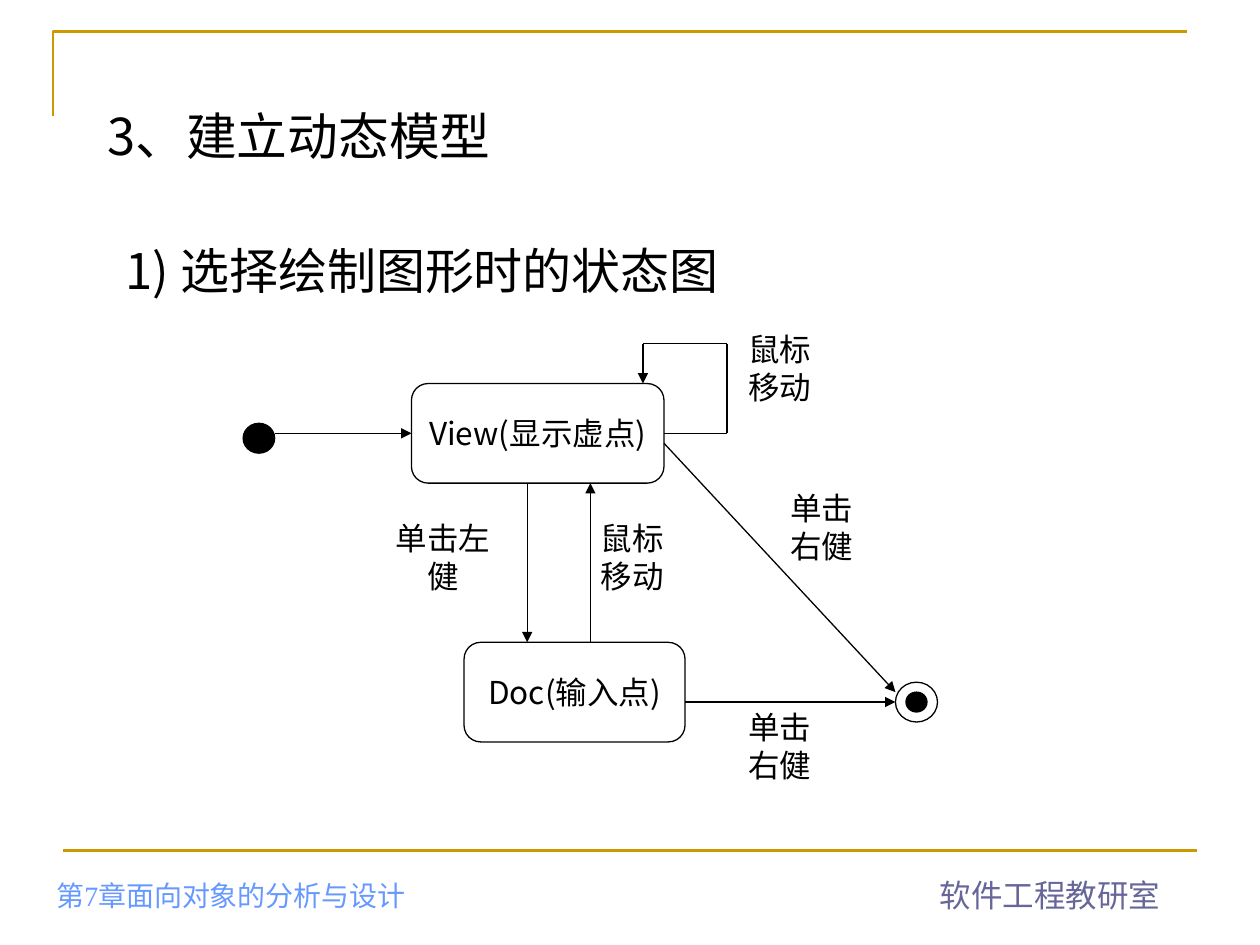
from dataclasses import dataclass

from pptx import Presentation
from pptx.dml.color import RGBColor as Rgb
from pptx.enum.shapes import MSO_CONNECTOR as Link, MSO_SHAPE as Preset
from pptx.enum.text import MSO_ANCHOR as Anchor, MSO_AUTO_SIZE as AutoSize, PP_ALIGN as Align
from pptx.oxml.ns import qn
from pptx.util import Inches, Pt
from lxml.etree import SubElement


@dataclass(frozen=True)
class Theme:
    ink: str = "000000"
    rule: str = "CC9900"
    department: str = "666699"
    chapter: str = "6699FF"
    sans: str = "Noto Sans CJK SC"
    title: float = 29
    subtitle: float = 28
    label: float = 18
    chapter_size: float = 16
    thin: float = 0.75
    thick: float = 1.5
    leading: float = 1.2


THEME = Theme()
GRID_LEFT, GRID_TOP = 1.93, 2.57
COLUMN, ROW = 0.0835, 0.079


def grid_point(column, row):
    return Inches(GRID_LEFT + column * COLUMN), Inches(GRID_TOP + row * ROW)


def grid_box(column, row, columns, rows):
    return *grid_point(column, row), Inches(columns * COLUMN), Inches(rows * ROW)


def inches(*lengths):
    return [Inches(length) for length in lengths]


def set_values(target, values):
    for key, value in values.items():
        setattr(target, key, value)


def write(frame, lines, size, color=THEME.ink, font=THEME.sans, align=Align.LEFT, **frame_format):
    set_values(frame, {"word_wrap": True, "auto_size": AutoSize.NONE} | frame_format)
    frame.text = "\n".join(lines)
    for paragraph in frame.paragraphs:
        set_values(paragraph, {"alignment": align, "line_spacing": Pt(size * THEME.leading)})
        for run in paragraph.runs:
            set_values(run.font, {"size": Pt(size), "name": font, "bold": False})
            run.font.color.rgb = Rgb.from_string(color)
            SubElement(run.font._element, qn("a:ea")).set("typeface", THEME.sans)


def add_text(slide, box, lines, size, **text_format):
    write(slide.shapes.add_textbox(*box).text_frame, lines, size, **text_format)


def set_line(outline, color, width):
    outline.color.rgb = Rgb.from_string(color)
    outline.width = Pt(width)


def add_outline(slide, preset, box, filled=False):
    outline = slide.shapes.add_shape(preset, *box)
    outline.shadow.inherit = False
    if filled:
        outline.fill.solid()
        outline.fill.fore_color.rgb = Rgb.from_string(THEME.ink)
    else:
        outline.fill.background()
    set_line(outline.line, THEME.ink, THEME.thin)
    return outline


def add_state(slide, box, caption):
    state = add_outline(slide, Preset.ROUNDED_RECTANGLE, box)
    write(state.text_frame, [caption], THEME.label, align=Align.CENTER,
          word_wrap=False, vertical_anchor=Anchor.MIDDLE)


def add_line(slide, start, end, color=THEME.ink, width=THEME.thin, arrow=False):
    line = slide.shapes.add_connector(Link.STRAIGHT, *start, *end)
    set_line(line.line, color, width)
    if arrow:
        SubElement(line.line._get_or_add_ln(), qn("a:tailEnd")).set("type", "triangle")
    SubElement(line._element.spPr, qn("a:effectLst"))


def add_route(slide, *stops):
    points = [grid_point(*stop) for stop in stops]
    for start, end in zip(points, points[1:]):
        add_line(slide, start, end, arrow=end == points[-1])


def add_frame(slide):
    corner = slide.shapes.build_freeform(*inches(0.42, 0.92))
    corner.add_line_segments([inches(0.42, 0.25), inches(9.42, 0.25)], close=False)
    bracket = corner.convert_to_shape()
    bracket.shadow.inherit = False
    bracket.fill.background()
    set_line(bracket.line, THEME.rule, THEME.thick)
    add_line(slide, inches(0.5, 6.75), inches(9.5, 6.75), THEME.rule, THEME.thick)
    add_text(slide, inches(7.36, 6.9, 1.95, 0.4), ["软件工程教研室"], THEME.label,
             color=THEME.department, font="Arial", word_wrap=False)
    add_text(slide, inches(0.35, 6.98, 4.1, 0.31), ["第7章面向对象的分析与设计"],
             THEME.chapter_size, color=THEME.chapter, font="Times New Roman",
             vertical_anchor=Anchor.BOTTOM)


def add_headings(slide):
    title = slide.shapes.title
    set_values(title, dict(zip(("left", "top", "width", "height"), inches(0.75, 0.68, 8.66, 0.78))))
    write(title.text_frame, ["3、建立动态模型"], THEME.title, vertical_anchor=Anchor.MIDDLE)
    add_text(slide, inches(0.9, 1.86, 5.67, 0.57), ["1) 选择绘制图形时的状态图"], THEME.subtitle)


def add_state_diagram(slide):
    add_state(slide, grid_box(16, 6, 24, 10), "View(显示虚点)")
    add_state(slide, grid_box(21, 32, 21, 10), "Doc(输入点)")
    add_outline(slide, Preset.OVAL, grid_box(0, 10, 3, 3), filled=True)
    add_outline(slide, Preset.OVAL, grid_box(63, 37, 2, 2), filled=True)
    add_outline(slide, Preset.OVAL, grid_box(62, 36, 4, 4))

    for route in (
        [(3, 11), (16, 11)],
        [(40, 11), (46, 11), (46, 2), (38, 2), (38, 6)],
        [(27, 16), (27, 32)],
        [(33, 32), (33, 16)],
        [(42, 38), (62, 38)],
        [(40, 12), (62, 37)],
    ):
        add_route(slide, *route)

    move = ["鼠标", "移动"]
    right_click = ["单击右健"]
    for column, row, columns, event in (
        (46, 0, 10, move),
        (32, 19, 10, move),
        (13, 19, 12, ["单击左健"]),
        (50, 16, 10, right_click),
        (46, 38, 10, right_click),
    ):
        add_text(slide, grid_box(column, row, columns, 9), event, THEME.label, align=Align.CENTER)


def main():
    deck = Presentation()
    set_values(deck, {"slide_width": Inches(10), "slide_height": Inches(7.5)})
    slide = deck.slides.add_slide(deck.slide_layouts[5])
    add_frame(slide)
    add_headings(slide)
    add_state_diagram(slide)
    deck.save("out.pptx")


if __name__ == "__main__":
    main()
